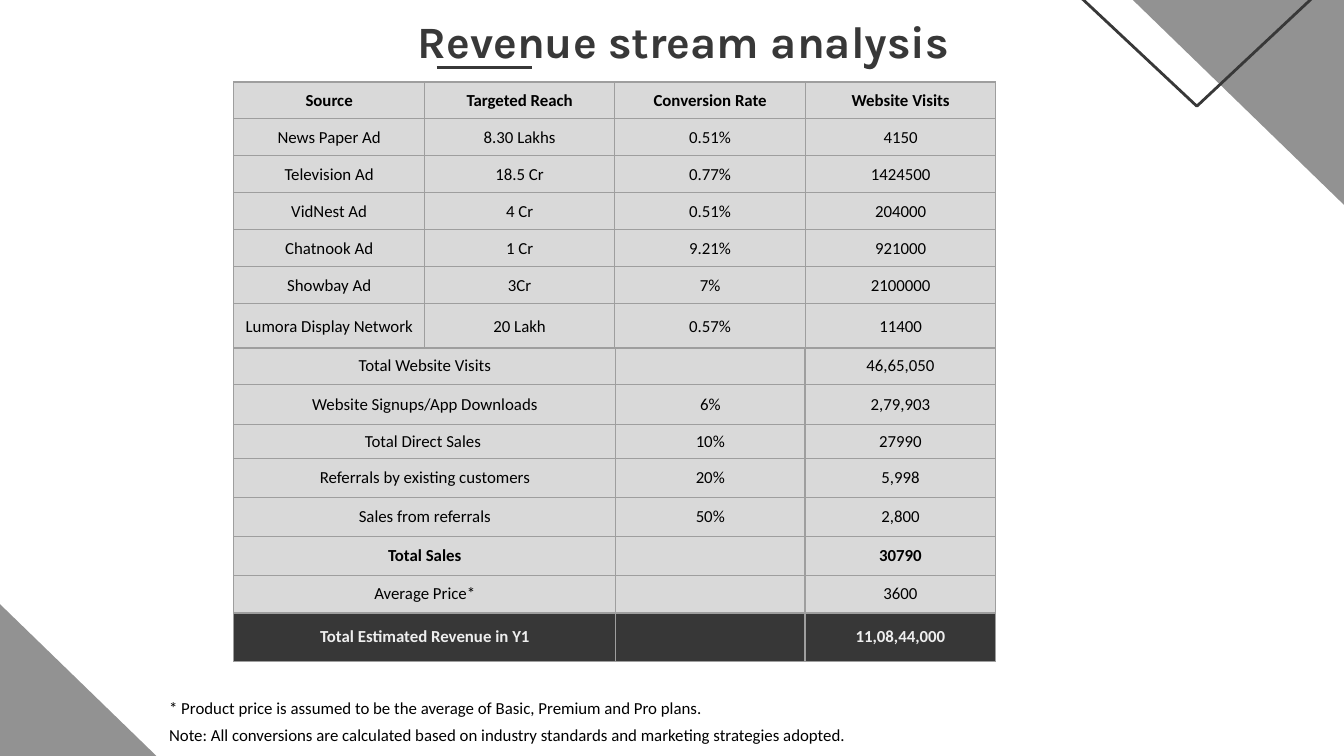
import pptx
import pptx.util
import pptx.dml.color
import pptx.enum.shapes
import pptx.enum.text
import pptx.oxml
import pptx.oxml.ns
import lxml.etree
from dataclasses import dataclass

Inches = pptx.util.Inches
Pt = pptx.util.Pt
Color = pptx.dml.color.RGBColor.from_string
Shape = pptx.enum.shapes.MSO_SHAPE
Align = pptx.enum.text.PP_ALIGN
Anchor = pptx.enum.text.MSO_ANCHOR
qn = pptx.oxml.ns.qn


@dataclass
class Theme:
    ink: str = "383838"
    gray: str = "929292"
    cell: str = "D9D9D9"
    total: str = "373737"
    edge: str = "9E9E9E"
    text: str = "000000"
    light: str = "EEEEEE"
    head: str = "Karla"
    body: str = "Calibri"
    big: float = 24
    small: float = 9
    rule: float = 1.5
    thin: float = 0.75


look = Theme()


def write(frame, text, size=look.small, font=look.body, color=look.text,
          bold=False, align=Align.CENTER):
    para = frame.paragraphs[0]
    para.alignment = align
    if not text:
        end = lxml.etree.SubElement(para._p, qn("a:endParaRPr"))
        end.set("sz", str(int(size * 100)))
        return
    run = para.add_run()
    run.text = text
    run.font.size = Pt(size)
    run.font.name = font
    run.font.bold = bold
    run.font.color.rgb = Color(color)


def grid(top, wide, high, rows, bold, dark=(), pad=None):
    frame = slide.shapes.add_table(len(high), len(wide), Inches(1.74), Inches(top),
                                   Inches(sum(wide)), Inches(sum(high)))
    table = frame.table
    table.first_row = table.horz_banding = False
    for col, width in zip(table.columns, wide):
        col.width = Inches(width)
    for r, (row, height, line) in enumerate(zip(table.rows, high, rows)):
        row.height = Inches(height)
        for cell, text in zip(row.cells, line):
            props = cell._tc.get_or_add_tcPr()
            for side in ("lnL", "lnR", "lnT", "lnB"):
                edge = lxml.etree.SubElement(props, qn("a:" + side), w=str(Pt(look.thin)))
                fill = lxml.etree.SubElement(edge, qn("a:solidFill"))
                lxml.etree.SubElement(fill, qn("a:srgbClr"), val=look.edge)
            cell.fill.solid()
            cell.fill.fore_color.rgb = Color(look.total if r in dark else look.cell)
            cell.vertical_anchor = Anchor.MIDDLE
            if pad is not None:
                cell.margin_left = cell.margin_right = cell.margin_top = Inches(pad)
                cell.margin_bottom = 0
            write(cell.text_frame, text, bold=r in bold,
                  color=look.light if r in dark else look.text)


deck = pptx.Presentation()
deck.slide_width = Inches(10)
deck.slide_height = deck.slide_width * 9 // 16
slide = deck.slides.add_slide(deck.slide_layouts[5])

for kind, left, top, width, height, turn in (
    (Shape.RIGHT_TRIANGLE, -1.84, 2.71, 3.72, 3.61, 0),
    (Shape.RIGHT_TRIANGLE, 7.1, -1.29, 3.72, 3.61, 180),
    (Shape.ISOSCELES_TRIANGLE, 5.97, -1.96, 5.87, 2.75, 180),
):
    shape = slide.shapes.add_shape(kind, Inches(left), Inches(top), Inches(width), Inches(height))
    shape.rotation = turn
    shape.shadow.inherit = False
    if kind == Shape.RIGHT_TRIANGLE:
        shape.fill.solid()
        shape.fill.fore_color.rgb = Color(look.gray)
        shape.line.fill.background()
    else:
        shape.fill.background()
        shape.line.color.rgb = Color(look.ink)
        shape.line.width = Pt(look.rule)

title = slide.shapes.title
title.left, title.top = Inches(0.95), Inches(0)
title.width, title.height = Inches(8.27), Inches(0.7)
frame = title.text_frame
frame.margin_left = frame.margin_right = Inches(0.1)
frame.margin_top = frame.margin_bottom = Inches(0.1)
frame.vertical_anchor = Anchor.TOP
write(frame, "Revenue stream analysis", size=look.big, font=look.head, color=look.ink, bold=True)

grid(0.61, [5.67 / 4] * 4, [1.65 / 6] * 6 + [0.33], [
    ("Source", "Targeted Reach", "Conversion Rate", "Website Visits"),
    ("News Paper Ad", "8.30 Lakhs", "0.51%", "4150"),
    ("Television Ad", "18.5 Cr", "0.77%", "1424500"),
    ("VidNest Ad", "4 Cr", "0.51%", "204000"),
    ("Chatnook Ad", "1 Cr", "9.21%", "921000"),
    ("Showbay Ad", "3Cr", "7%", "2100000"),
    ("Lumora Display Network", "20 Lakh", "0.57%", "11400"),
], bold=(0,), pad=0.01)

grid(2.59, [2.84, 1.41, 1.42], [0.27, 0.3, 0.25, 0.29, 0.29, 0.29, 0.28, 0.36], [
    ("Total Website Visits", "", "46,65,050"),
    ("Website Signups/App Downloads", "6%", "2,79,903"),
    ("Total Direct Sales ", "10%", "27990"),
    ("Referrals by existing customers", "20%", "5,998"),
    ("Sales from referrals", "50%", "2,800"),
    ("Total Sales", "", "30790"),
    ("Average Price*", "", "3600"),
    ("Total Estimated Revenue in Y1", "", "11,08,44,000"),
], bold=(5, 7), dark=(7,))

for top, width, text in (
    (5.34, 7.3, "Note: All conversions are calculated based on industry standards "
                "and marketing strategies adopted."),
    (5.14, 7.1, "* Product price is assumed to be the average of Basic, Premium and Pro plans."),
):
    note = slide.shapes.add_textbox(Inches(1.16), Inches(top), Inches(width), Inches(0.25))
    note.text_frame.word_wrap = True
    note.text_frame.auto_size = pptx.enum.text.MSO_AUTO_SIZE.SHAPE_TO_FIT_TEXT
    write(note.text_frame, text, align=Align.LEFT)

rule = slide.shapes.add_connector(pptx.enum.shapes.MSO_CONNECTOR.STRAIGHT,
                                  Inches(3.25), Inches(0.5), Inches(3.96), Inches(0.5))
rule.line.color.rgb = Color(look.ink)
rule.line.width = Pt(look.rule)
lxml.etree.SubElement(rule._element.spPr, qn("a:effectLst"))

deck.save("out.pptx")
